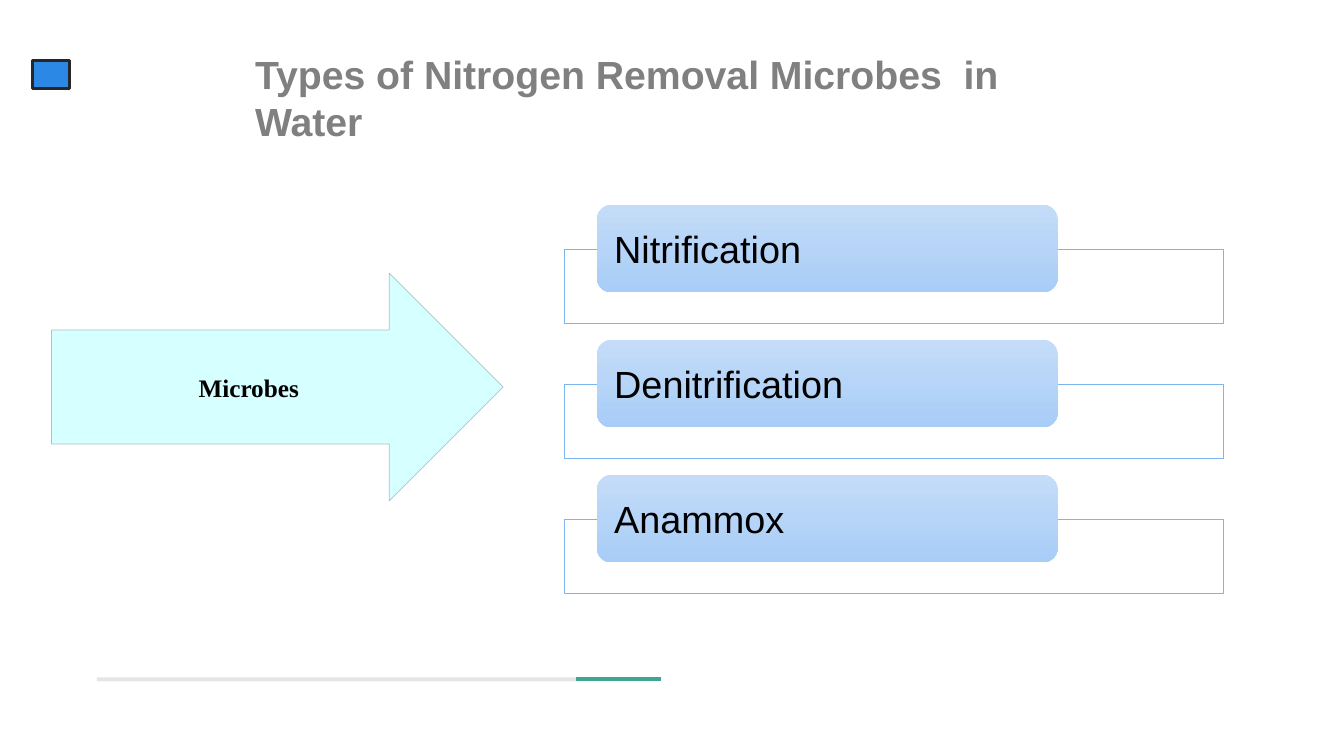
from lxml.etree import SubElement
from pptx import Presentation
from pptx.dml.color import RGBColor
from pptx.enum.shapes import MSO_CONNECTOR, MSO_SHAPE
from pptx.enum.text import MSO_ANCHOR, PP_ALIGN
from pptx.oxml.ns import qn
from pptx.util import Inches, Pt


def color(hex_string):
    return RGBColor.from_string(hex_string)


def set_opacity(fill_parent, percent):
    """Make the solid fill directly under fill_parent partly transparent."""
    tint = fill_parent.find(qn("a:solidFill"))[0]
    SubElement(tint, qn("a:alpha"), val=str(percent * 1000))


class MicrobeSlide:
    FONT = "Arial"
    LABEL_FONT = "Times New Roman"
    INK = "000000"
    TITLE_GRAY = "808080"
    PALE_CYAN = "D6FFFF"
    FRAME_BLUE = "7DB6EF"
    BAR_TOP, BAR_BOTTOM = "C4DCF8", "A8CDF7"

    def __init__(self, deck):
        self.page = deck.slides.add_slide(deck.slide_layouts[5])

    def label(self, shape, text, size, font=FONT, ink=INK, bold=False,
              align=PP_ALIGN.LEFT, anchor=MSO_ANCHOR.MIDDLE):
        frame = shape.text_frame
        frame.word_wrap = True
        frame.vertical_anchor = anchor
        frame.text = text
        para = frame.paragraphs[0]
        para.alignment = align
        para.font.name = font
        para.font.size = Pt(size)
        para.font.bold = bold
        para.font.color.rgb = color(ink)

    def title(self, text, left, top, width, height):
        box = self.page.shapes.title
        box.left, box.top = Inches(left), Inches(top)
        box.width, box.height = Inches(width), Inches(height)
        self.label(box, text, 28, ink=self.TITLE_GRAY, bold=True,
                   anchor=MSO_ANCHOR.TOP)

    def shape(self, kind, left, top, width, height, fill=None, line=None,
              line_width=1):
        box = self.page.shapes.add_shape(
            kind, Inches(left), Inches(top), Inches(width), Inches(height))
        box.shadow.inherit = False
        if fill:
            box.fill.solid()
            box.fill.fore_color.rgb = color(fill)
        if line:
            box.line.color.rgb = color(line)
            box.line.width = Pt(line_width)
        else:
            box.line.fill.background()
        return box

    def rule(self, start, end, y, line, opacity=100):
        connector = self.page.shapes.add_connector(
            MSO_CONNECTOR.STRAIGHT, Inches(start), Inches(y), Inches(end), Inches(y))
        connector.line.color.rgb = color(line)
        connector.line.width = Pt(3)
        properties = connector._element.spPr
        SubElement(properties, qn("a:effectLst"))
        if opacity < 100:
            set_opacity(properties.find(qn("a:ln")), opacity)

    def process(self, name, top):
        """Draw a named gradient bar overlapping an outlined frame."""
        frame = self.shape(MSO_SHAPE.RECTANGLE, 5.6, top + 0.44, 6.53, 0.74,
                           "FFFFFF", self.FRAME_BLUE, 0.5)
        set_opacity(frame._element.spPr, 90)
        bar = self.shape(MSO_SHAPE.ROUNDED_RECTANGLE, 5.92, top, 4.57, 0.87)
        bar.fill.gradient()
        bar.fill.gradient_angle = 270
        for stop, tint in zip(bar.fill.gradient_stops, (self.BAR_TOP, self.BAR_BOTTOM)):
            stop.color.rgb = color(tint)
        self.label(bar, name, 27)
        bar.text_frame.margin_left = bar.text_frame.margin_right = Inches(0.13)
        bar.text_frame.margin_top = bar.text_frame.margin_bottom = 0

    def arrow(self, text, left, top, width, height):
        arrow = self.shape(MSO_SHAPE.RIGHT_ARROW, left, top, width, height,
                           self.PALE_CYAN, "A9C4C8", 0.5)
        self.label(arrow, text, 18, font=self.LABEL_FONT, bold=True,
                   align=PP_ALIGN.CENTER)


def main():
    deck = Presentation()
    deck.slide_width, deck.slide_height = Inches(13.33), Inches(7.5)
    slide = MicrobeSlide(deck)
    slide.title("Types of Nitrogen Removal Microbes  in Water", 2.43, 0.45, 8.47, 0.57)
    slide.shape(MSO_SHAPE.RECTANGLE, 0.32, 0.6, 0.37, 0.28, "2C88E5", "262626", 2.25)
    slide.rule(0.96, 5.72, 6.74, "000000", opacity=10)
    slide.rule(5.71, 6.56, 6.74, "40A693")
    for row, name in enumerate(("Nitrification", "Denitrification", "Anammox")):
        slide.process(name, 2.03 + row * 1.34)
    slide.arrow("Microbes", 0.51, 2.71, 4.48, 2.26)
    deck.save("out.pptx")


if __name__ == "__main__":
    main()
